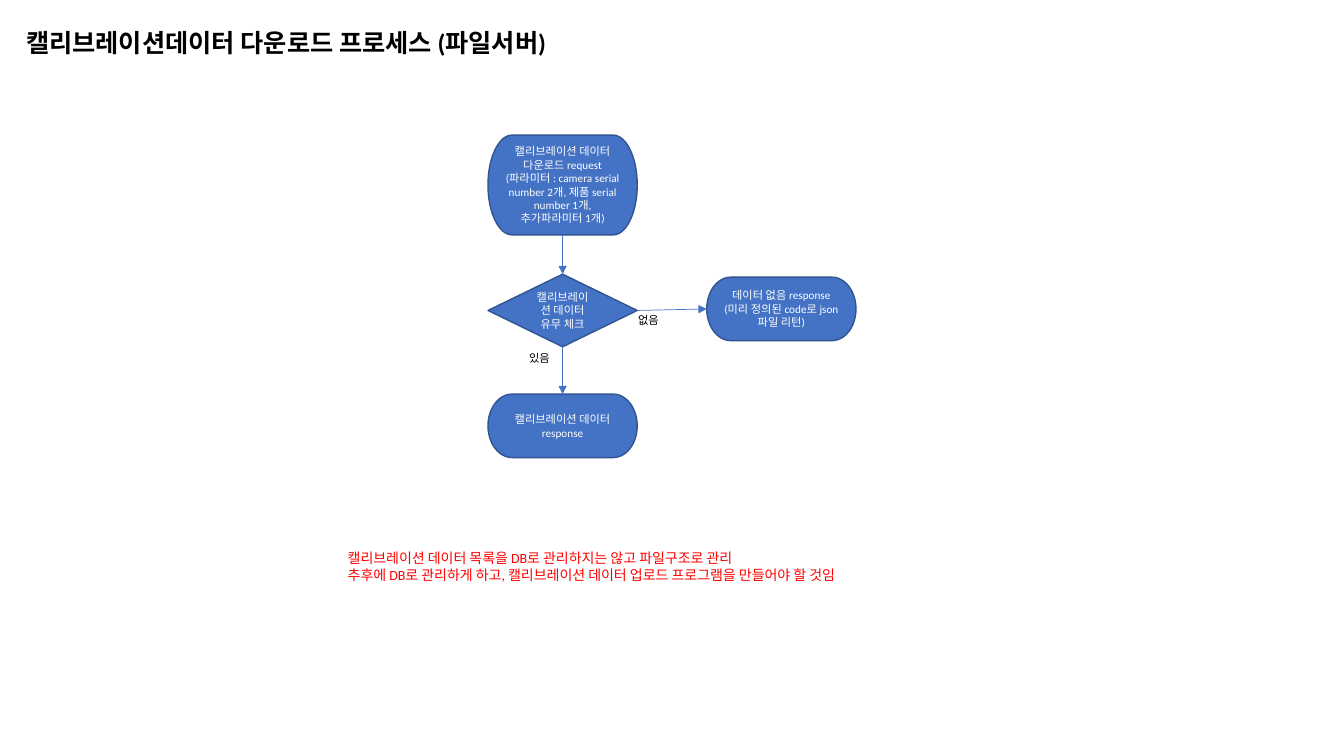
"""Builds the flow chart slide for the calibration data download process."""
from lxml import etree
from pptx import Presentation
from pptx import util as u
from pptx.dml.color import RGBColor
from pptx.enum import shapes, text
from pptx.oxml.ns import qn

WIDE, HIGH = 13.33, 7.5
BLUE = RGBColor(0x44, 0x72, 0xC4)
EDGE = RGBColor(0x32, 0x54, 0x91)
WHITE = RGBColor(255, 255, 255)
BLACK = RGBColor(0, 0, 0)
RED = RGBColor(255, 0, 0)
FONT = "Calibri"

TITLE = ["캘리브레이션데이터 다운로드 프로세스 (파일서버)"]
NOTES = ["캘리브레이션 데이터 목록을 DB로 관리하지는 않고 파일구조로 관리",
         "추후에 DB로 관리하게 하고, 캘리브레이션 데이터 업로드 프로그램을 만들어야 할 것임"]
END = shapes.MSO_SHAPE.FLOWCHART_TERMINATOR
TEST = shapes.MSO_SHAPE.FLOWCHART_DECISION
COLS, STEP = (4.84, 7.01), 1.48
NODES = {
    "request": (END, 0, 1.34, 0.99, [
        "캘리브레이션 데이터 다운로드 request",
        "(파라미터 : camera serial number 2개, 제품 serial number 1개, 추가파라미터 1개)"]),
    "check": (TEST, 0, 2.72, 0.72, ["캘리브레이션 데이터 유무 체크"]),
    "found": (END, 0, 3.91, 0.63, ["캘리브레이션 데이터 response"]),
    "none": (END, 1, 2.75, 0.63, [
        "데이터 없음 response", "(미리 정의된 code로 json파일 리턴)"]),
}
TOP, LEFT, BOTTOM, RIGHT = range(4)
LINKS = [("request", BOTTOM, "check", TOP),
         ("check", BOTTOM, "found", TOP),
         ("check", RIGHT, "none", LEFT)]
LABELS = [("있음", 5.15, 3.44, 0.6), ("없음", 6.23, 3.06, 0.7)]


def write(shape, lines, size=8, color=BLACK, bold=False,
          align=text.PP_ALIGN.LEFT, anchor=text.MSO_ANCHOR.TOP):
    frame = shape.text_frame
    frame.word_wrap = True
    frame.auto_size = text.MSO_AUTO_SIZE.NONE
    frame.vertical_anchor = anchor
    frame.text = "\n".join(lines)
    for para in frame.paragraphs:
        para.alignment = align
        font = para.runs[0].font
        font.name, font.size, font.bold = FONT, u.Pt(size), bold
        font.color.rgb = color


def add_node(slide, kind, col, top, high, lines):
    node = slide.shapes.add_shape(
        kind, *map(u.Inches, (COLS[col], top, STEP, high)))
    node.shadow.inherit = False
    node.fill.solid()
    node.fill.fore_color.rgb = BLUE
    node.line.color.rgb = EDGE
    node.line.width = u.Pt(1)
    write(node, lines, color=WHITE, align=text.PP_ALIGN.CENTER,
          anchor=text.MSO_ANCHOR.MIDDLE)
    return node


def add_link(slide, start, out, end, into):
    link = slide.shapes.add_connector(
        shapes.MSO_CONNECTOR.STRAIGHT, 0, 0, 0, 0)
    link.begin_connect(start, out)
    link.end_connect(end, into)
    link.line.color.rgb = BLUE
    link.line.width = u.Pt(0.5)
    props = link._element.spPr
    etree.SubElement(props.find(qn("a:ln")), qn("a:tailEnd"), type="triangle")
    etree.SubElement(props, qn("a:effectLst"))


def add_text(slide, lines, box, **style):
    write(slide.shapes.add_textbox(*map(u.Inches, box)), lines, **style)


def main():
    deck = Presentation()
    deck.slide_width, deck.slide_height = u.Inches(WIDE), u.Inches(HIGH)
    slide = deck.slides.add_slide(deck.slide_layouts[5])
    title = slide.shapes.title
    title.left, title.top, title.width, title.height = map(
        u.Inches, (0.16, 0.22, 7.22, 0.4))
    write(title, TITLE, size=18, bold=True)
    add_text(slide, NOTES, (3.35, 5.4, 5.71, 0.44), size=10, color=RED)
    nodes = {name: add_node(slide, *node) for name, node in NODES.items()}
    for start, out, end, into in LINKS:
        add_link(slide, nodes[start], out, nodes[end], into)
    for label, left, top, wide in LABELS:
        add_text(slide, [label], (left, top, wide, 0.24))
    deck.save("out.pptx")


if __name__ == "__main__":
    main()
